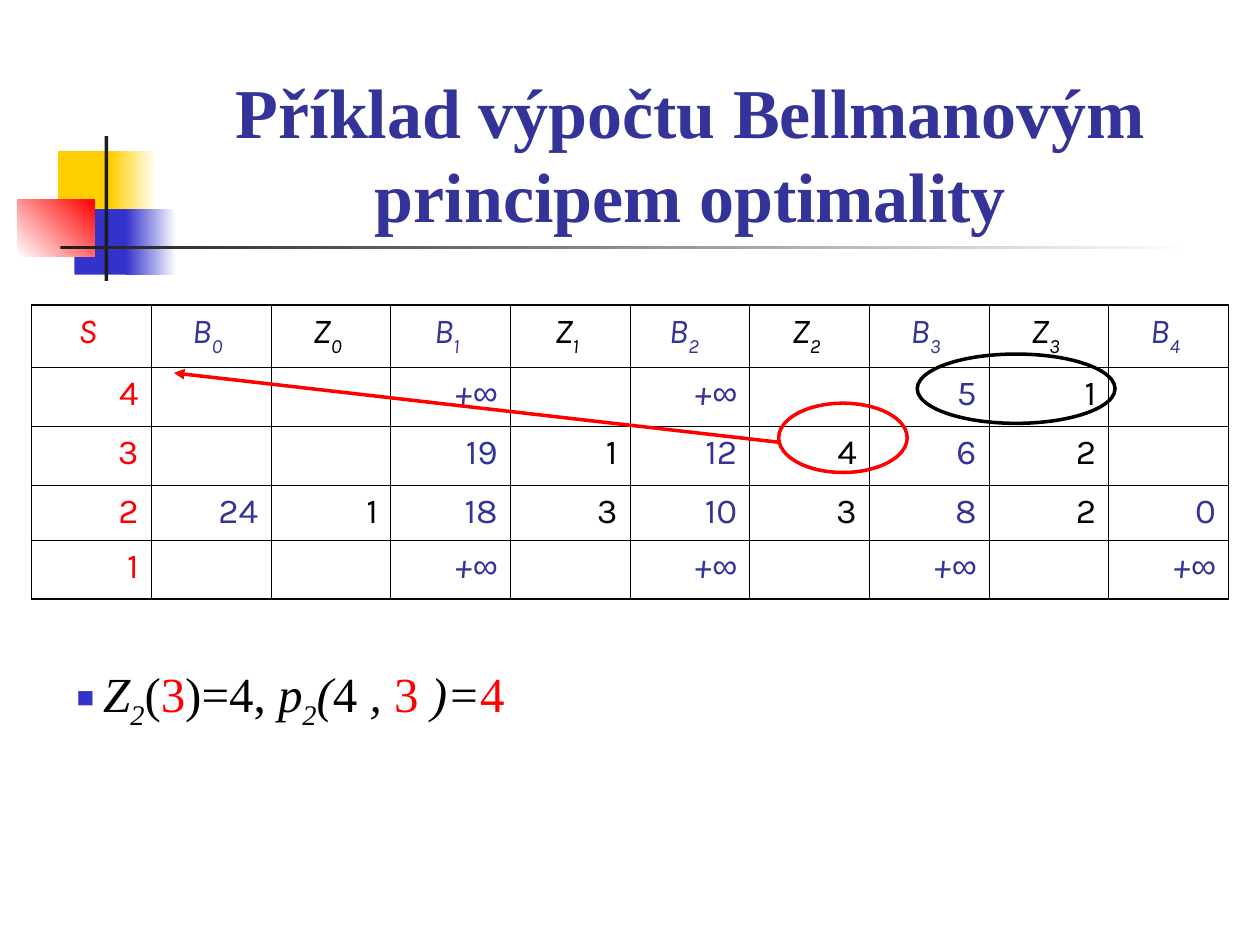
from lxml import etree
from pptx import Presentation
from pptx.dml.color import RGBColor
from pptx.enum.shapes import MSO_CONNECTOR, MSO_SHAPE
from pptx.enum.text import MSO_ANCHOR, PP_ALIGN
from pptx.oxml.ns import qn
from pptx.util import Inches, Pt

RECT, OVAL = MSO_SHAPE.RECTANGLE, MSO_SHAPE.OVAL
STRAIGHT = MSO_CONNECTOR.STRAIGHT
CENTER, RIGHT = PP_ALIGN.CENTER, PP_ALIGN.RIGHT
BOTTOM = MSO_ANCHOR.BOTTOM

RED, BLUE, BLACK, WHITE = "FF0000", "333399", "000000", "FFFFFF"
YELLOW, ROYAL, DARK = "FFCF01", "3333CC", "1C1C1C"
SERIF = "Times New Roman"

# left, top, width, height, colours (two make a gradient), angle
DECORATION = [
    (0.46, 1.2, 0.48, 0.52, [YELLOW], 0),
    (0.88, 1.2, 0.36, 0.52, [YELLOW, WHITE], 0),
    (0.59, 1.66, 0.46, 0.52, [ROYAL], 0),
    (1, 1.66, 0.4, 0.52, [ROYAL, WHITE], 0),
    (0.14, 1.58, 0.61, 0.46, [WHITE, RED], 45),
    (0.83, 1.08, 0.03, 1.15, [DARK], 0),
    (0.48, 1.95, 9, 0.03, [DARK, WHITE], 0),
]
HEADERS = [("S", ""), ("B", "0"), ("Z", "0"), ("B", "1"), ("Z", "1"),
           ("B", "2 "), ("Z", "2"), ("B", "3"), ("Z", "3"), ("B", "4")]
ROWS = [
    ["4", "", "", "+∞", "", "+∞", "", "5", "1", ""],
    ["3", "", "", "19", "1", "12", "4", "6", "2", ""],
    ["2", "24", "1", "18", "3", "10", "3", "8", "2", "0"],
    ["1", "", "", "+∞", "", "+∞", "", "+∞", "", "+∞"],
]
ROW_HEIGHTS = [0.48, 0.47, 0.47, 0.42, 0.47]
# text, colour, italic, subscript
FORMULA = [
    ("Z", BLACK, True, False), ("2", BLACK, True, True),
    ("(", BLACK, False, False), ("3", RED, False, False),
    (")=4, ", BLACK, False, False), ("p", BLACK, True, False),
    ("2", BLACK, True, True), ("(", BLACK, True, False),
    ("4", BLACK, False, False), (" , ", BLACK, True, False),
    ("3", RED, False, False), (" )=", BLACK, True, False),
    ("4", RED, False, False),
]


def rgb(value):
    return RGBColor.from_string(value)


def add_run(p, text, size, font, color, italic=False, bold=False, base=0):
    """Append a run; base is the baseline shift in percent."""
    r = p.add_run()
    r.text = text
    f = r.font
    f.size, f.name, f.italic, f.bold = Pt(size), font, italic, bold
    f.color.rgb = rgb(color)
    if base:
        r._r.get_or_add_rPr().set("baseline", str(base * 1000))


def add_block(s, left, top, width, height, colors, angle):
    sp = s.shapes.add_shape(RECT, Inches(left), Inches(top), Inches(width), Inches(height))
    sp.shadow.inherit = False
    sp.line.fill.background()
    if len(colors) == 1:
        sp.fill.solid()
        sp.fill.fore_color.rgb = rgb(colors[0])
    else:
        sp.fill.gradient()
        sp.fill.gradient_angle = angle
        for stop, color in zip(sp.fill.gradient_stops, colors):
            stop.color.rgb = rgb(color)


def add_ring(s, left, top, width, height, color):
    sp = s.shapes.add_shape(OVAL, Inches(left), Inches(top), Inches(width), Inches(height))
    sp.shadow.inherit = False
    sp.fill.background()
    sp.line.color.rgb = rgb(color)
    sp.line.width = Pt(2)


def add_arrow(s, x1, y1, x2, y2, color):
    line = s.shapes.add_connector(STRAIGHT, Inches(x1), Inches(y1), Inches(x2), Inches(y2))
    line.line.color.rgb = rgb(color)
    line.line.width = Pt(2)
    etree.SubElement(line.line._get_or_add_ln(), qn("a:tailEnd"), type="triangle")
    etree.SubElement(line._element.spPr, qn("a:effectLst"))


def add_text_box(s, left, top, width, height):
    tf = s.shapes.add_textbox(Inches(left), Inches(top), Inches(width), Inches(height)).text_frame
    tf.word_wrap = True
    return tf


def add_title(s):
    tf = add_text_box(s, 1.22, 0.68, 8.52, 1.25)
    tf.vertical_anchor = BOTTOM
    p = tf.paragraphs[0]
    p.alignment = CENTER
    p.line_spacing = Pt(48)
    add_run(p, "Příklad výpočtu Bellmanovým principem optimality", 40, SERIF, BLUE, bold=True)


def add_formula(s):
    tf = add_text_box(s, 0.51, 5.17, 8.11, 1.1)
    tf.margin_top = Inches(0.1)
    p = tf.paragraphs[0]
    pPr = p._p.get_or_add_pPr()
    pPr.set("marL", str(Inches(0.21)))
    pPr.set("indent", str(-Inches(0.21)))
    color = etree.SubElement(pPr, qn("a:buClr"))
    etree.SubElement(color, qn("a:srgbClr"), val=ROYAL)
    etree.SubElement(pPr, qn("a:buSzPct"), val="60000")
    etree.SubElement(pPr, qn("a:buFont"), typeface="Arial")
    etree.SubElement(pPr, qn("a:buChar"), char="■")
    for text, run_color, italic, sub in FORMULA:
        add_run(p, text, 28, SERIF, run_color, italic, base=-25 if sub else 0)


def set_borders(cell, widths):
    """Draw black borders; widths are in points: left, right, top, bottom."""
    tcPr = cell._tc.get_or_add_tcPr()
    for side, width in zip("LRTB", widths):
        ln = etree.SubElement(tcPr, qn(f"a:ln{side}"), w=str(Pt(width)))
        fill = etree.SubElement(ln, qn("a:solidFill"))
        etree.SubElement(fill, qn("a:srgbClr"), val=BLACK)


def fill_cell(cell, row, col):
    color = RED if col == 0 else BLUE if col % 2 else BLACK
    cell.margin_left, cell.margin_right = Inches(0.04), Inches(0.1)
    p = cell.text_frame.paragraphs[0]
    if row == 0:
        p.alignment = CENTER
        letter, index = HEADERS[col]
        add_run(p, letter, 20, "Karla", color, True)
        if index:
            add_run(p, index, 20, "Karla", color, True, base=-30)
        return
    p.alignment = RIGHT
    text = ROWS[row - 1][col]
    if text == "+∞":
        add_run(p, "+", 20, "Karla", color, True)
        add_run(p, "∞", 20, "Arial", color, True)
    elif text:
        add_run(p, text, 20, "Karla", color)


def add_value_table(s):
    n_rows, n_cols = len(ROW_HEIGHTS), len(HEADERS)
    table = s.shapes.add_table(n_rows, n_cols, Inches(0.25), Inches(2.42),
                               Inches(9.5), Inches(sum(ROW_HEIGHTS))).table
    table.first_row = table.horz_banding = False
    for col in table.columns:
        col.width = Inches(0.95)
    for i, height in enumerate(ROW_HEIGHTS):
        table.rows[i].height = Inches(height)
        for j in range(n_cols):
            cell = table.cell(i, j)
            outer = (j == 0, j == n_cols - 1, i == 0, i == n_rows - 1)
            set_borders(cell, [1.08 if edge else 0.45 for edge in outer])
            cell.fill.background()
            fill_cell(cell, i, j)


def main():
    prs = Presentation()
    prs.slide_width, prs.slide_height = Inches(10), Inches(7.5)
    s = prs.slides.add_slide(prs.slide_layouts[6])
    for block in DECORATION:
        add_block(s, *block)
    add_title(s)
    add_value_table(s)
    add_ring(s, 6.18, 3.2, 1.02, 0.55, RED)
    add_arrow(s, 6.18, 3.51, 1.38, 2.96, RED)
    add_formula(s)
    add_ring(s, 7.28, 2.81, 1.57, 0.55, BLACK)
    prs.save("out.pptx")


if __name__ == "__main__":
    main()
